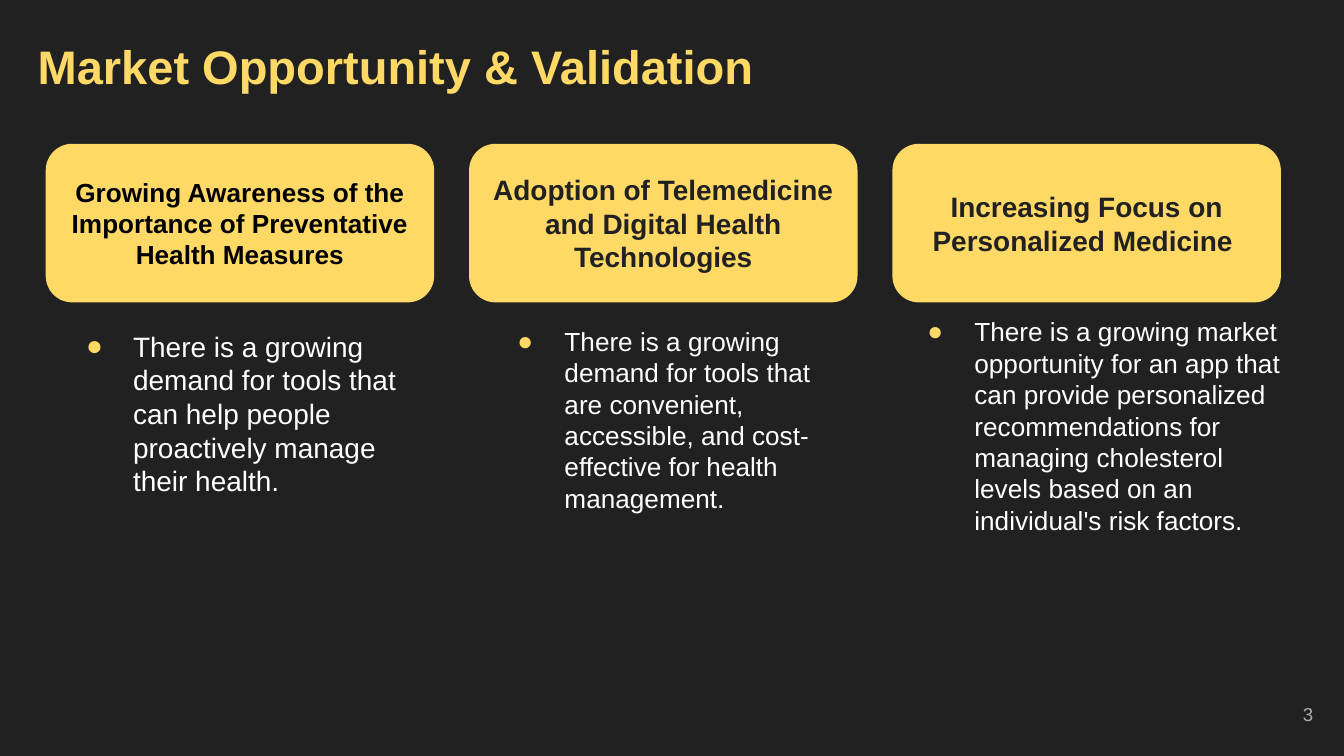
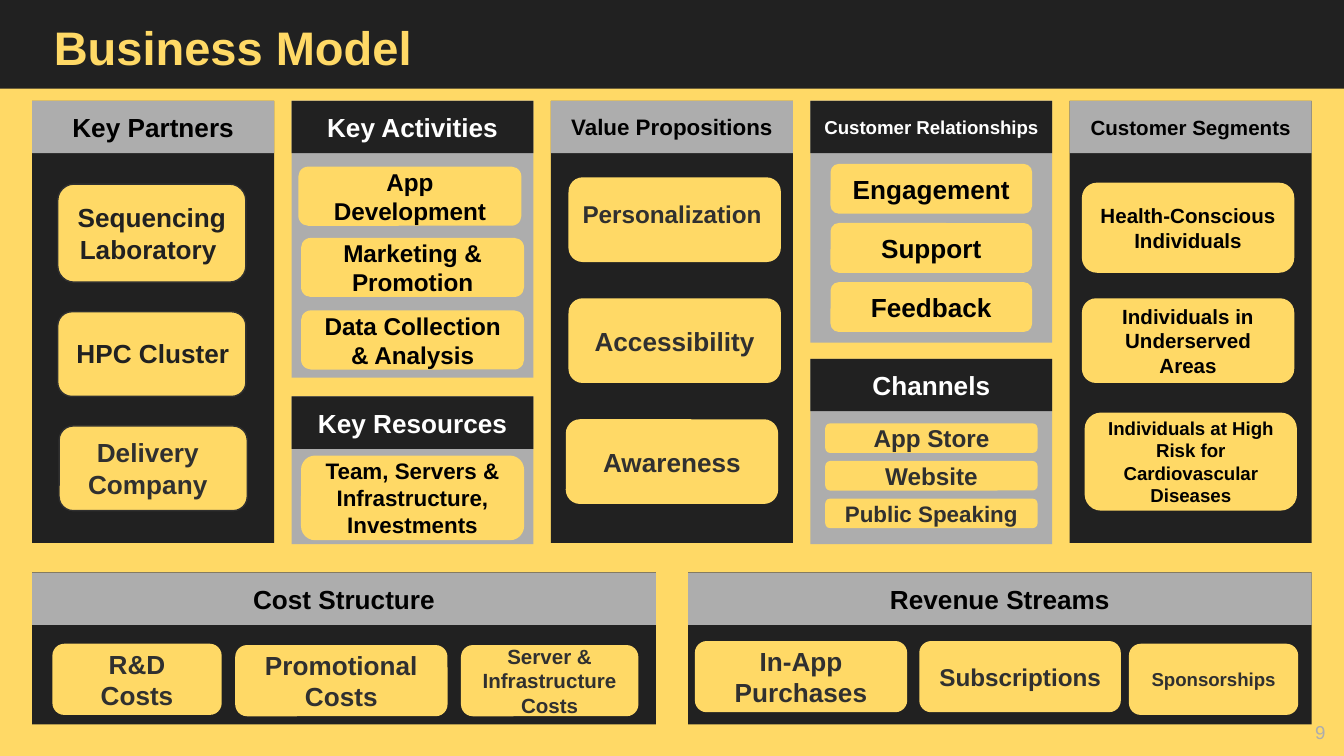
"""Build two slides: market opportunity cards and a business model canvas."""
from lxml.etree import SubElement
from pptx import Presentation
from pptx.dml.color import RGBColor
from pptx.enum.shapes import MSO_SHAPE
from pptx.enum.text import MSO_ANCHOR, MSO_AUTO_SIZE, PP_ALIGN
from pptx.oxml.ns import qn
from pptx.util import Emu, Pt

PX = 9144
COLORS = {
    "dark": "212121",
    "yellow": "FFD966",
    "grey": "ADADAD",
    "charcoal": "303030",
    "black": "000000",
    "white": "FFFFFF",
}
FONT = "Arial"
INSET = 10


def write(shape, text, size, color, bold=True, align=PP_ALIGN.CENTER, anchor=MSO_ANCHOR.MIDDLE):
    """Fill a shape with one formatted paragraph."""
    frame = shape.text_frame
    frame.text = text
    frame.word_wrap = True
    frame.auto_size = MSO_AUTO_SIZE.NONE
    frame.vertical_anchor = anchor
    frame.margin_left = frame.margin_right = INSET * PX
    frame.margin_top = frame.margin_bottom = INSET * PX
    paragraph = frame.paragraphs[0]
    paragraph.alignment = align
    paragraph.space_before = Pt(0)
    font = paragraph.runs[0].font
    font.name, font.size, font.bold = FONT, Pt(size), bold
    font.color.rgb = RGBColor.from_string(COLORS[color])


def add_block(slide, kind, box, fill):
    """Add a flat preset shape without outline."""
    block = slide.shapes.add_shape(kind, *[v * PX for v in box])
    block.shadow.inherit = False
    block.fill.solid()
    block.fill.fore_color.rgb = RGBColor.from_string(COLORS[fill])
    block.line.fill.background()
    return block


prs = Presentation()
prs.slide_width = Emu(1000 * PX)
prs.slide_height = Emu(prs.slide_width * 9 // 16)
background = prs.slide_master.background.fill
background.solid()
background.fore_color.rgb = RGBColor.from_string(COLORS["dark"])
comparison, title_only = prs.slide_layouts[4], prs.slide_layouts[5]

market = prs.slides.add_slide(comparison)
model = prs.slides.add_slide(title_only)

for slide, heading, left, top in (
    (market, "Market Opportunity & Validation", 18, 18),
    (model, "Business Model", 30, 4),
):
    title = slide.shapes.title
    title.left, title.top, title.width, title.height = [v * PX for v in (left, top, 932, 63)]
    write(title, heading, 25.2, "yellow", align=PP_ALIGN.LEFT, anchor=MSO_ANCHOR.TOP)

trends = [
    ("Growing Awareness of the Importance of Preventative Health Measures", 14, "black",
     "There is a growing demand for tools that can help people proactively manage their health.",
     15, (39, 235, 270, 146)),
    ("Adoption of Telemedicine and Digital Health Technologies", 15, "dark",
     "There is a growing demand for tools that are convenient, accessible, "
     "and cost-effective for health management.",
     14, (360, 232, 255, 162)),
    ("Increasing Focus on Personalized Medicine ", 15, "dark",
     "There is a growing market opportunity for an app that can provide personalized "
     "recommendations for managing cholesterol levels based on an individual's risk factors.",
     14, (665, 225, 301, 185)),
]
_, *details, unused = list(market.placeholders)
unused.element.getparent().remove(unused.element)
for i, (trend, trend_size, trend_color, need, need_size, need_box) in enumerate(trends):
    card = add_block(market, MSO_SHAPE.ROUNDED_RECTANGLE, (34 + i * 315, 107, 289, 118), "yellow")
    write(card, trend, trend_size, trend_color)
    detail = details[i]
    detail.left, detail.top, detail.width, detail.height = [v * PX for v in need_box]
    write(detail, need, need_size, "white", False, PP_ALIGN.LEFT, MSO_ANCHOR.TOP)
    properties = detail.text_frame.paragraphs[0]._p.get_or_add_pPr()
    properties.set("marL", str(50 * PX))
    properties.set("indent", str(-35 * PX))
    SubElement(SubElement(properties, qn("a:buClr")), qn("a:srgbClr")).set("val", COLORS["yellow"])
    SubElement(properties, qn("a:buFont")).set("typeface", FONT)
    SubElement(properties, qn("a:buChar")).set("char", "●")

add_block(model, MSO_SHAPE.RECTANGLE, (0, 66, 1000, 497), "yellow")

columns = [24 + i * 193 for i in range(5)]
sections = [
    ("Key Partners", 14, columns[0], 75, 180, 329, "grey"),
    ("Key Activities", 14, columns[1], 75, 180, 206, "dark"),
    ("Key Resources", 14, columns[1], 295, 180, 110, "dark"),
    ("Value Propositions", 12, columns[2], 75, 180, 329, "grey"),
    ("Customer Relationships", 10, columns[3], 75, 180, 180, "dark"),
    ("Channels", 14, columns[3], 267, 180, 138, "dark"),
    ("Customer Segments", 11, columns[4], 75, 180, 329, "grey"),
    ("Cost Structure", 14, 24, 426, 464, 113, "grey"),
    ("Revenue Streams", 14, 512, 426, 464, 113, "grey"),
]
for section, size, left, top, width, height, header_fill in sections:
    panel_fill, header_ink = ("dark", "black") if header_fill == "grey" else ("grey", "white")
    add_block(model, MSO_SHAPE.RECTANGLE, (left, top, width, height), panel_fill)
    header = add_block(model, MSO_SHAPE.RECTANGLE, (left, top, width, 39), header_fill)
    write(header, section, size, header_ink)

for slide, number, left, top in ((market, "3", 927, 510), (model, "9", 936, 523)):
    page = slide.shapes.add_textbox(left * PX, top * PX, 60 * PX, 43 * PX)
    write(page, number, 10, "grey", False, PP_ALIGN.RIGHT)

labelled_cards = [
    ("Sequencing Laboratory ", 14, "dark", PP_ALIGN.CENTER,
     (43, 137, 140, 73), (47, 140, 132, 67), True),
    ("HPC Cluster", 14, "dark", PP_ALIGN.LEFT,
     (43, 232, 140, 63), (47, 241, 158, 44), True),
    ("Delivery Company", 14, "charcoal", PP_ALIGN.CENTER,
     (44, 317, 140, 63), (47, 315, 126, 67), True),
    ("Personalization", 13, "charcoal", PP_ALIGN.CENTER,
     (423, 132, 158, 63), (421, 138, 158, 42), False),
]
for item, size, ink, align, card_box, label_box, outlined in labelled_cards:
    card = add_block(model, MSO_SHAPE.ROUNDED_RECTANGLE, card_box, "yellow")
    if outlined:
        card.line.color.rgb = RGBColor.from_string(COLORS["charcoal"])
        card.line.width = Pt(0.75)
    label = model.shapes.add_textbox(*[v * PX for v in label_box])
    write(label, item, size, ink, align=align, anchor=MSO_ANCHOR.TOP)

cards = [
    ("App Development", 13, "black", (222, 124, 166, 44)),
    ("Marketing & Promotion", 13, "black", (224, 177, 166, 44)),
    ("Data Collection & Analysis", 13, "black", (224, 231, 166, 44)),
    ("Team, Servers & Infrastructure, Investments", 12, "black", (224, 339, 166, 63)),
    ("Accessibility", 14, "charcoal", (423, 222, 158, 63)),
    ("Awareness", 14, "charcoal", (421, 312, 158, 63)),
    ("Engagement", 14, "black", (618, 122, 150, 37)),
    ("Support", 14, "black", (618, 166, 150, 37)),
    ("Feedback", 14, "black", (618, 210, 150, 37)),
    ("App Store", 13, "charcoal", (614, 315, 158, 22)),
    ("Website", 13, "charcoal", (614, 343, 158, 22)),
    ("Public Speaking", 12, "charcoal", (614, 371, 158, 22)),
    ("Health-Conscious Individuals", 11, "black", (805, 136, 158, 67)),
    ("Individuals in Underserved Areas", 11, "black", (805, 222, 158, 63)),
    ("Individuals at High Risk for Cardiovascular Diseases", 10, "black", (807, 307, 158, 73)),
    ("R&D Costs", 14, "charcoal", (39, 479, 126, 53)),
    ("Promotional Costs", 14, "charcoal", (175, 480, 158, 53)),
    ("Server & Infrastructure Costs", 11, "charcoal", (343, 480, 132, 53)),
    ("In-App Purchases", 14, "charcoal", (517, 477, 158, 53)),
    ("Subscriptions", 13, "charcoal", (684, 477, 150, 53)),
    ("Sponsorships", 10, "charcoal", (840, 479, 126, 53)),
]
for item, size, ink, box in cards:
    write(add_block(model, MSO_SHAPE.ROUNDED_RECTANGLE, box, "yellow"), item, size, ink)

prs.save("out.pptx")
